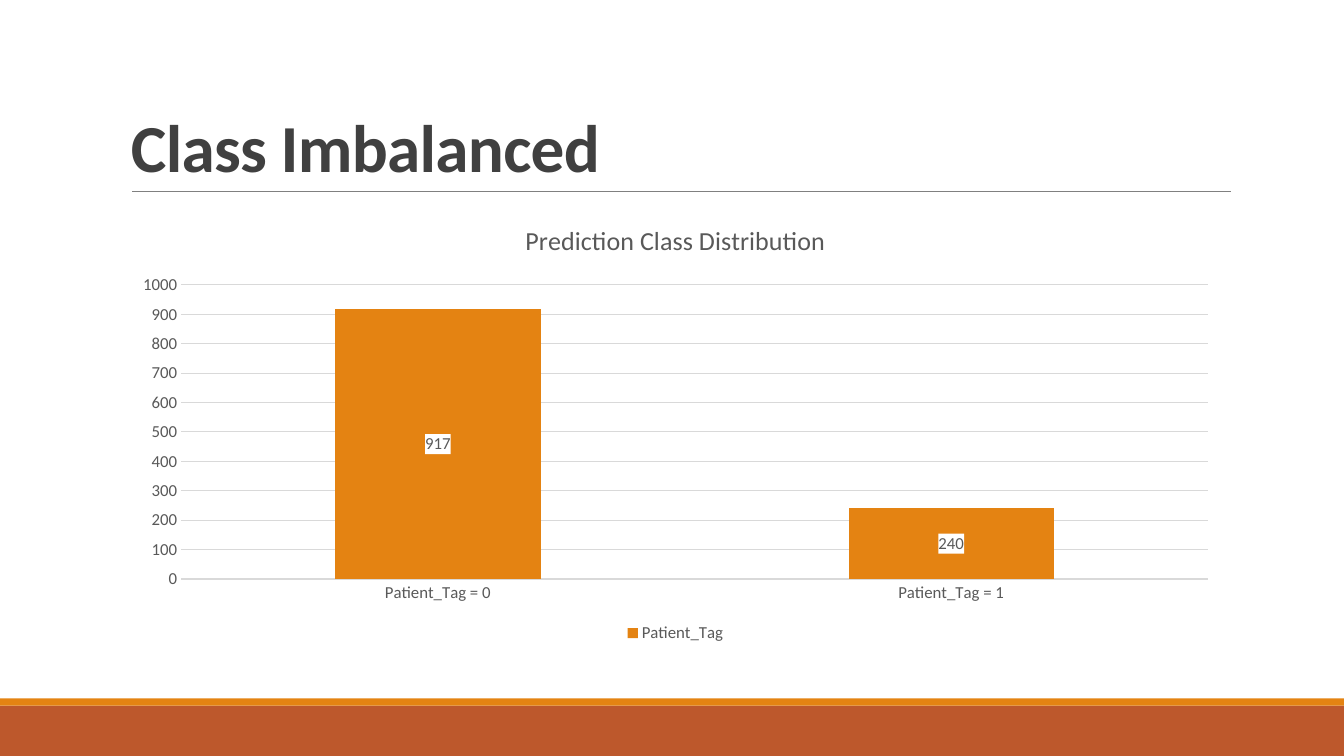
from dataclasses import dataclass

from lxml import etree
from pptx import Presentation
from pptx.chart.data import CategoryChartData
from pptx.dml.color import RGBColor
from pptx.enum import chart as charts, shapes, text
from pptx.oxml import parse_xml
from pptx.oxml.ns import nsdecls, qn
from pptx.util import Inches, Pt

# Content
TITLE = "Class Imbalanced"
CHART_TITLE = "Prediction Class Distribution"
SERIES_NAME = "Patient_Tag"
CLASS_COUNTS = {"Patient_Tag = 0": 917, "Patient_Tag = 1": 240}


@dataclass(frozen=True)
class Theme:
    font: str = "Calibri"
    orange: str = "E48312"
    rust: str = "BD582C"
    rule: str = "808080"
    heading: str = "404040"
    label: str = "595959"
    grid: str = "D9D9D9"
    white: str = "FFFFFF"
    title_size: float = 48
    chart_title_size: float = 18.6
    label_size: float = 12


THEME = Theme()

# Layout in inches
WIDTH, HEIGHT = 13.33, 7.5
LEFT, CONTENT_WIDTH = 1.2, 11
TITLE_TOP, RULE_TOP = 0.31, 1.9
CHART_TOP, CHART_HEIGHT = 2.02, 4.4
FOOTER_BANDS = [(THEME.rust, 7, 0.5), (THEME.orange, 6.93, 0.07)]


def color(value):
    return RGBColor.from_string(value)


def style_font(font, size, value, bold=False):
    font.name, font.size, font.bold = THEME.font, Pt(size), bold
    font.color.rgb = color(value)


def style_line(line, value, width):
    line.color.rgb = color(value)
    line.width = Pt(width)


def add_frame(slide):
    for fill, top, height in FOOTER_BANDS:
        band = slide.shapes.add_shape(
            shapes.MSO_SHAPE.RECTANGLE, 0, Inches(top), Inches(WIDTH), Inches(height))
        band.shadow.inherit = False
        band.fill.solid()
        band.fill.fore_color.rgb = color(fill)
        band.line.fill.background()
    rule = slide.shapes.add_connector(
        shapes.MSO_CONNECTOR.STRAIGHT,
        Inches(1.31), Inches(RULE_TOP), Inches(12.21), Inches(RULE_TOP))
    style_line(rule.line, THEME.rule, 0.5)
    etree.SubElement(rule._element.spPr, qn("a:effectLst"))


def add_title(slide):
    box = slide.shapes.add_textbox(
        Inches(LEFT), Inches(TITLE_TOP), Inches(CONTENT_WIDTH), Inches(RULE_TOP - TITLE_TOP))
    frame = box.text_frame
    frame.word_wrap = True
    frame.vertical_anchor = text.MSO_ANCHOR.BOTTOM
    paragraph = frame.paragraphs[0]
    paragraph.line_spacing = 0.85
    run = paragraph.add_run()
    run.text = TITLE
    style_font(run.font, THEME.title_size, THEME.heading, bold=True)
    run.font._element.set("spc", "-50")  # letter spacing of -0.5 pt


def add_class_chart(slide):
    data = CategoryChartData()
    data.categories = list(CLASS_COUNTS)
    data.add_series(SERIES_NAME, list(CLASS_COUNTS.values()))
    chart = slide.shapes.add_chart(
        charts.XL_CHART_TYPE.COLUMN_STACKED, Inches(LEFT), Inches(CHART_TOP),
        Inches(CONTENT_WIDTH), Inches(CHART_HEIGHT), data).chart
    style_font(chart.font, THEME.label_size, THEME.label)

    # Title and legend
    chart.has_title = True
    chart.chart_title.include_in_layout = False
    paragraph = chart.chart_title.text_frame.paragraphs[0]
    paragraph.text = CHART_TITLE
    style_font(paragraph.font, THEME.chart_title_size, THEME.label)
    chart.has_legend = True
    chart.legend.position = charts.XL_LEGEND_POSITION.BOTTOM
    chart.legend.include_in_layout = False
    style_font(chart.legend.font, THEME.label_size, THEME.label)

    # Axes
    for axis in (chart.category_axis, chart.value_axis):
        axis.major_tick_mark = axis.minor_tick_mark = charts.XL_TICK_MARK.NONE
        style_font(axis.tick_labels.font, THEME.label_size, THEME.label)
    style_line(chart.category_axis.format.line, THEME.grid, 0.75)
    chart.value_axis.format.line.fill.background()
    style_line(chart.value_axis.major_gridlines.format.line, THEME.grid, 0.75)
    chart.value_axis.minimum_scale, chart.value_axis.maximum_scale = 0, 1000
    chart.value_axis.major_unit = 100

    # Columns
    plot = chart.plots[0]
    plot.gap_width, plot.overlap = 150, 100
    plot.vary_by_categories = False
    series = plot.series[0]
    series.format.fill.solid()
    series.format.fill.fore_color.rgb = color(THEME.orange)

    # Value labels on white
    labels = series.data_labels
    labels.show_value = True
    labels.position = charts.XL_LABEL_POSITION.CENTER
    style_font(labels.font, THEME.label_size, THEME.label)
    label_fill = parse_xml(
        f'<c:spPr {nsdecls("c", "a")}><a:solidFill><a:srgbClr val="{THEME.white}"/>'
        '</a:solidFill></c:spPr>')
    labels._element.find(qn("c:txPr")).addprevious(label_fill)


def main():
    presentation = Presentation()
    presentation.slide_width, presentation.slide_height = Inches(WIDTH), Inches(HEIGHT)
    slide = presentation.slides.add_slide(presentation.slide_layouts[6])
    slide.background.fill.solid()
    slide.background.fill.fore_color.rgb = color(THEME.white)
    add_frame(slide)
    add_title(slide)
    add_class_chart(slide)
    presentation.save("out.pptx")


if __name__ == "__main__":
    main()
